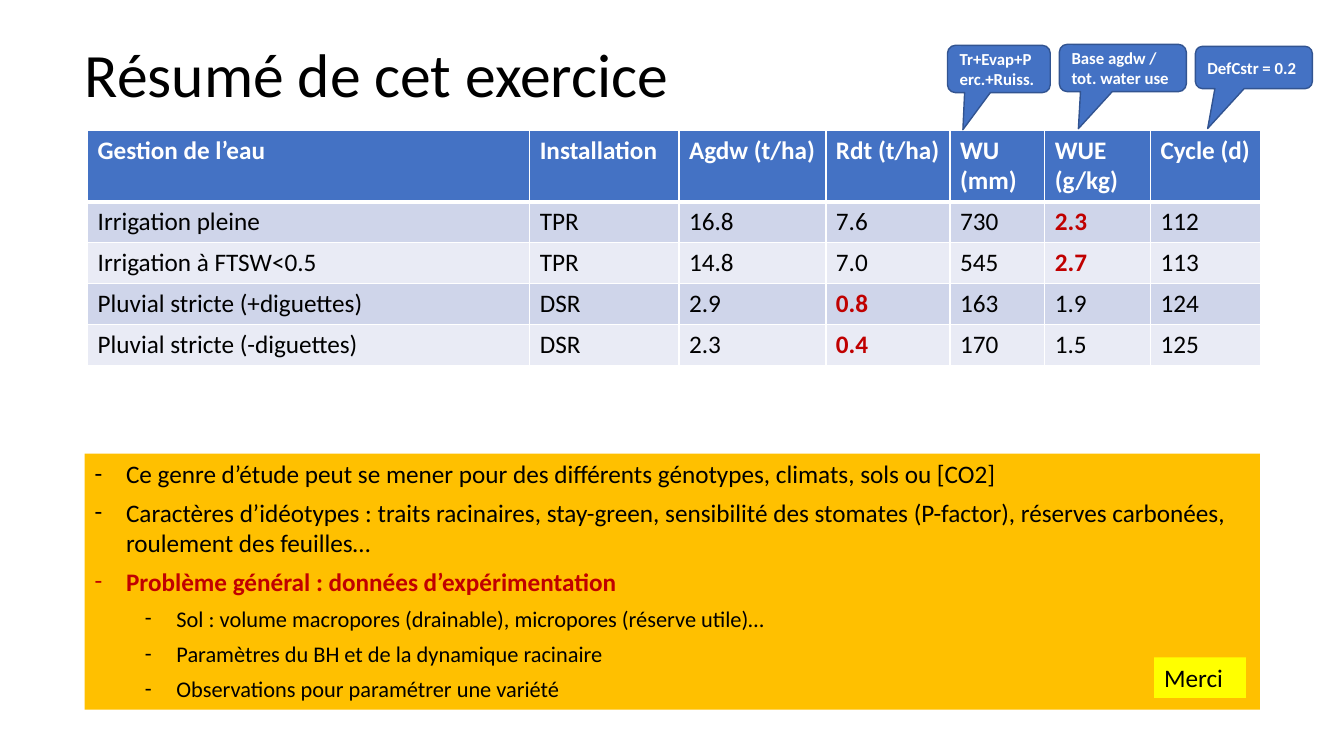
import pptx
import pptx.util
import pptx.dml.color
import pptx.enum.shapes
import pptx.enum.text
import pptx.oxml
import pptx.oxml.ns

Pt = pptx.util.Pt
Kind = pptx.enum.shapes.MSO_SHAPE
Anchor = pptx.enum.text.MSO_ANCHOR
FONT = "Calibri"
BLUE, RED, WHITE, BLACK = "4472C4", "C00000", "FFFFFF", "000000"
BANDS = ("CFD5EA", "E9EBF5")

WIDTHS = (315.8, 106.6, 105, 88.6, 67.7, 75.6, 78.5)
HEAD = ("Gestion de l’eau", "Installation", "Agdw (t/ha)", "Rdt (t/ha)",
        "WU (mm)", "WUE (g/kg)", "Cycle (d)")
ROWS = (
    ("Irrigation pleine", "TPR", "16.8", "7.6", "730", "2.3", "112"),
    ("Irrigation à FTSW<0.5", "TPR", "14.8", "7.0", "545", "2.7", "113"),
    ("Pluvial stricte (+diguettes)", "DSR", "2.9", "0.8", "163", "1.9", "124"),
    ("Pluvial stricte (-diguettes)", "DSR", "2.3", "0.4", "170", "1.5", "125"),
)
MARKED = {(1, 5), (2, 5), (3, 3), (4, 3)}
POINTS = (
    (0, "Ce genre d’étude peut se mener pour des différents génotypes, climats, sols ou [CO2]"),
    (0, "Caractères d’idéotypes : traits racinaires, stay-green, sensibilité des stomates "
        "(P-factor), réserves carbonées, roulement des feuilles…"),
    (0, "Problème général : données d’expérimentation"),
    (1, "Sol : volume macropores (drainable), micropores (réserve utile)…"),
    (1, "Paramètres du BH et de la dynamique racinaire"),
    (1, "Observations pour paramétrer une variété"),
)
KEY = 2
CALLS = (
    ("DefCstr = 0.2", (853.9, 33.1, 83.5, 30.2), (-0.395, 1.443)),
    ("Base agdw / tot. water use", (756.7, 31.7, 90.7, 33.8), (-0.35, 1.283)),
    ("Tr+Evap+Perc.+Ruiss.", (676.8, 32.4, 73.4, 33.8), (-0.35, 1.283)),
)


def tint(code):
    return pptx.dml.color.RGBColor.from_string(code)


def write(para, words, size=18, color=BLACK, bold=False):
    para.alignment = pptx.enum.text.PP_ALIGN.LEFT
    run = para.add_run()
    run.text = words
    font = run.font
    font.name, font.size, font.bold = FONT, Pt(size), bold
    font.color.rgb = tint(color)


def block(slide, kind, box, fill, edge=None, anchor=Anchor.TOP):
    shape = slide.shapes.add_shape(kind, *map(Pt, box))
    shape.shadow.inherit = False
    shape.fill.solid()
    shape.fill.fore_color.rgb = tint(fill)
    if edge:
        shape.line.color.rgb = tint(edge)
        shape.line.width = Pt(1)
    else:
        shape.line.fill.background()
    shape.text_frame.word_wrap = True
    shape.text_frame.vertical_anchor = anchor
    return shape


def heading(slide, box, words):
    title = slide.shapes.title
    title.left, title.top, title.width, title.height = map(Pt, box)
    frame = title.text_frame
    frame.auto_size = pptx.enum.text.MSO_AUTO_SIZE.NONE
    frame.vertical_anchor = Anchor.MIDDLE
    frame.paragraphs[0].line_spacing = 0.9
    write(frame.paragraphs[0], words, size=44)


def border(cell, row):
    props = cell._tc.get_or_add_tcPr()
    thick = {"lnT": 3 if row == 1 else 1, "lnB": 3 if row == 0 else 1}
    for spot, side in enumerate(("lnL", "lnR", "lnT", "lnB")):
        width = Pt(thick.get(side, 1))
        props.insert(spot, pptx.oxml.parse_xml(
            f'<a:{side} {pptx.oxml.ns.nsdecls("a")} w="{width}"><a:solidFill>'
            f'<a:srgbClr val="{WHITE}"/></a:solidFill></a:{side}>'))


def results(slide, box):
    lines = (HEAD,) + ROWS
    table = slide.shapes.add_table(len(lines), len(HEAD), *map(Pt, box)).table
    for col, width in zip(table.columns, WIDTHS):
        col.width = Pt(width)
    top = 51
    for row, line in enumerate(lines):
        table.rows[row].height = Pt(top if row == 0 else (box[3] - top) / len(ROWS))
        for col, words in enumerate(line):
            cell = table.cell(row, col)
            cell.fill.solid()
            cell.fill.fore_color.rgb = tint(BANDS[(row - 1) % 2] if row else BLUE)
            border(cell, row)
            mark = (row, col) in MARKED
            color = RED if mark else BLACK if row else WHITE
            write(cell.text_frame.paragraphs[0], words, color=color, bold=mark or row == 0)


def bullet(para, level):
    para.level = level
    para.space_after = Pt(6)
    props = para._p.get_or_add_pPr()
    props.set("marL", str(Pt(22.5 + 36 * level)))
    props.set("indent", str(Pt(-22.5)))
    for tag in (f'buFont {pptx.oxml.ns.nsdecls("a")} typeface="{FONT}"',
                f'buChar {pptx.oxml.ns.nsdecls("a")} char="-"'):
        props.append(pptx.oxml.parse_xml(f"<a:{tag}/>"))


def summary(slide, box):
    left, top, width, height = box
    frame = block(slide, Kind.RECTANGLE, box, "FFC000").text_frame
    for order, (level, words) in enumerate(POINTS):
        para = frame.add_paragraph() if order else frame.paragraphs[0]
        bullet(para, level)
        key = order == KEY
        write(para, words, size=18 - 2 * level, color=RED if key else BLACK, bold=key)
    spot = (left + width - 75.6, top + height - 37.4, 65.5, 29)
    thanks = block(slide, Kind.RECTANGLE, spot, "FFFF00")
    write(thanks.text_frame.paragraphs[0], "Merci")


def callout(slide, box, words, tip):
    shape = block(slide, Kind.ROUNDED_RECTANGULAR_CALLOUT, box, BLUE, "325491", Anchor.MIDDLE)
    for order, value in enumerate(tip):
        shape.adjustments[order] = value
    write(shape.text_frame.paragraphs[0], words, size=12, color=WHITE, bold=True)


def main():
    deck = pptx.Presentation()
    deck.slide_width, deck.slide_height = Pt(960), Pt(540)
    slide = deck.slides.add_slide(deck.slide_layouts[5])
    heading(slide, (53.3, 25.2, 828, 59.8), "Résumé de cet exercice")
    results(slide, (62.6, 92.9, sum(WIDTHS), 167.8))
    summary(slide, (60.5, 324, 839.5, 182.9))
    for words, box, tip in CALLS:
        callout(slide, box, words, tip)
    deck.save("out.pptx")


if __name__ == "__main__":
    main()
